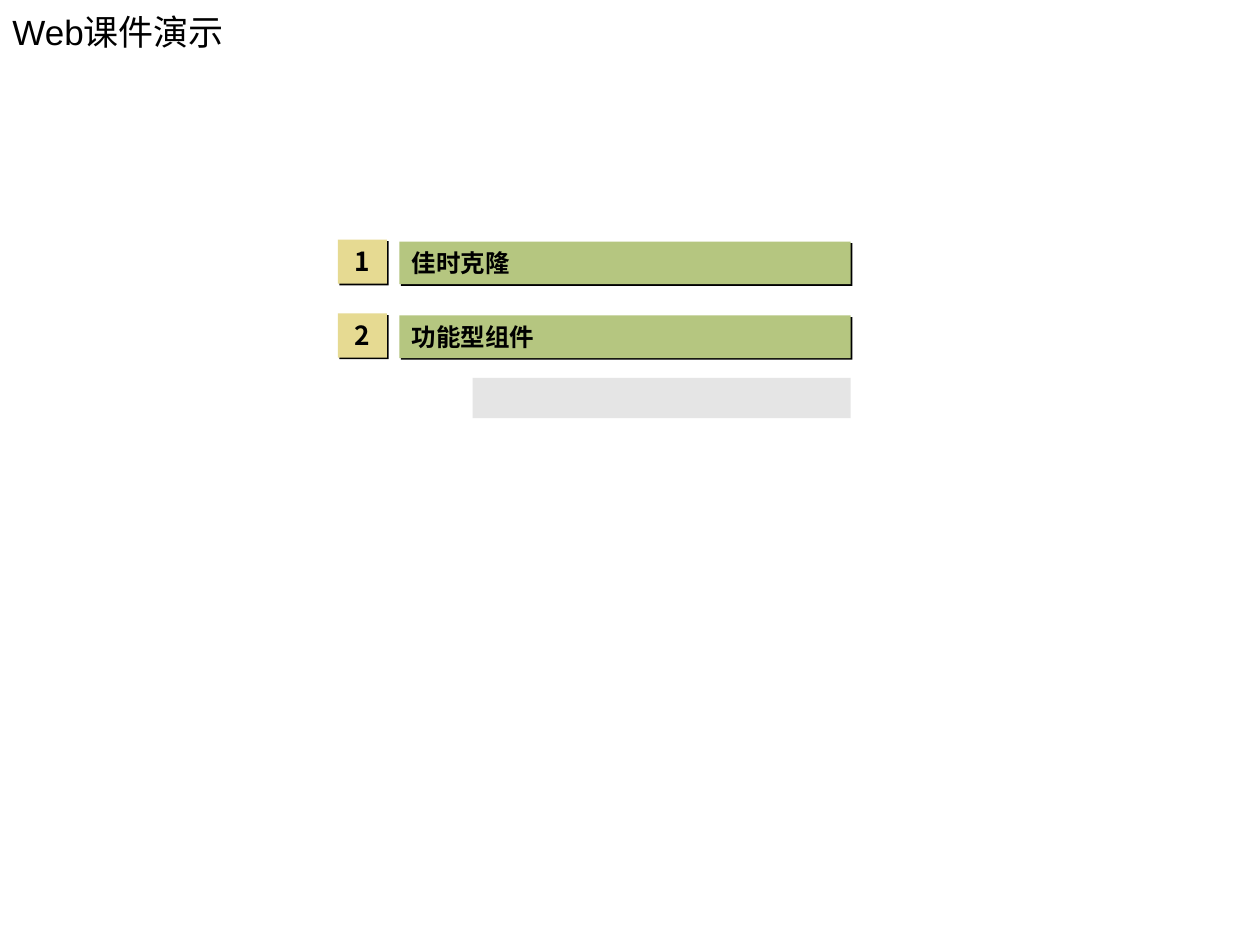
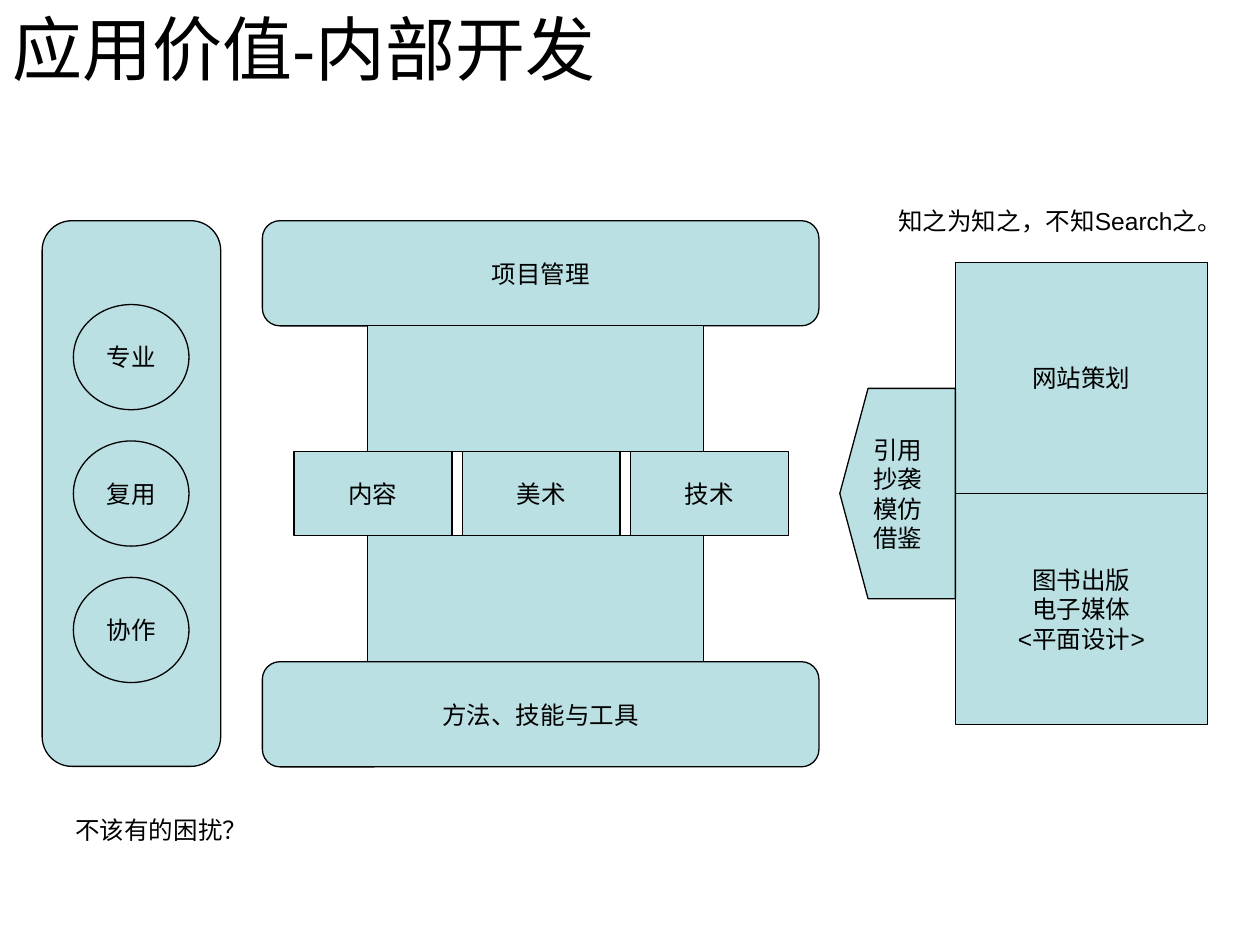
"""Build two courseware slides: an agenda and an in-house development diagram."""
from lxml import etree
from pptx import Presentation, util as u
from pptx.dml.color import RGBColor
from pptx.enum import lang, shapes, text
from pptx.oxml.ns import qn

BLACK = RGBColor(0x00, 0x00, 0x00)
SAND = RGBColor(0xE6, 0xDA, 0x92)
GREEN = RGBColor(0xB5, 0xC6, 0x80)
GREY = RGBColor(0xE5, 0xE5, 0xE5)
AQUA = RGBColor(0xBB, 0xE0, 0xE3)
CJK = "Noto Sans CJK SC"
SHAPE = shapes.MSO_SHAPE
LEFT, CENTER = text.PP_ALIGN.LEFT, text.PP_ALIGN.CENTER
TOP, MIDDLE = text.MSO_ANCHOR.TOP, text.MSO_ANCHOR.MIDDLE

BODY = {"size": u.Pt(14), "name": "Arial", "bold": False}
NUMBER = {"size": u.Pt(15), "name": "Noto Sans CJK KR", "bold": True}
ITEM = {"size": u.Pt(14), "name": CJK, "bold": True}

AGENDA_TITLE = ("Web课件演示", 20, 1.27)
AGENDA = ["佳时克隆", "功能型组件"]
AGENDA_PITCH = 1.49

VALUE_TITLE = ("应用价值-内部开发", 40, 1.9)
BANDS = [("项目管理", 4.45), ("方法、技能与工具", 13.34)]
DISCIPLINES = ["内容", "美术", "技术"]
PILLAR_TOPS = [6.56, 10.8]
PRINCIPLES = ["专业", "复用", "协作"]
SOURCES = ["网站策划", "图书出版\n电子媒体\n<平面设计>"]
BORROWING = "引用\n抄袭\n模仿\n借鉴"
ARROW = [(19.26, 7.83), (17.5, 7.83), (16.93, 9.95), (17.5, 12.07), (19.26, 12.07)]
NOTES = [("不该有的困扰？", (1.27, 16.3, 3.96, 0.86)),
         ("知之为知之，不知Search之。", (17.86, 4.02, 7.29, 0.86))]


def cm(values):
    return [u.Cm(v) for v in values]


def write(sp, content, fmt=BODY, align=CENTER, anchor=MIDDLE, wrap=False):
    tf = sp.text_frame
    tf.text = content
    tf.word_wrap, tf.vertical_anchor = wrap, anchor
    for p in tf.paragraphs:
        p.alignment = align
        for r in p.runs:
            for key, value in fmt.items():
                setattr(r.font, key, value)
            r.font.color.rgb = BLACK
            r.font.language_id = lang.MSO_LANGUAGE_ID.SIMPLIFIED_CHINESE
            latin = r.font._element.find(qn("a:latin"))
            ea = etree.Element(qn("a:ea"), typeface=CJK)
            latin.addnext(ea)


def paint(sp, fill, outlined=True):
    sp.shadow.inherit = False
    sp.fill.solid()
    sp.fill.fore_color.rgb = fill
    if outlined:
        sp.line.color.rgb = BLACK
        sp.line.width = u.Pt(0.75)
    else:
        sp.line.fill.background()


def add_box(s, kind, place, fill=AQUA, outlined=True):
    sp = s.shapes.add_shape(kind, *cm(place))
    paint(sp, fill, outlined)
    return sp


def add_label(s, kind, place, content):
    write(add_box(s, kind, place), content)


def add_shadow(sp):
    effects = sp._element.spPr.find(qn("a:effectLst"))
    shadow = etree.SubElement(effects, qn("a:outerShdw"), dist=str(u.Pt(1.4)),
                              dir="2700000", algn="ctr", rotWithShape="0")
    etree.SubElement(shadow, qn("a:srgbClr"), val=str(BLACK))


def add_slide(prs, title, size, height):
    s = prs.slides.add_slide(prs.slide_layouts[6])
    sp = s.shapes.add_textbox(*cm((0, 0, 22.86, height)))
    write(sp, title, {**BODY, "size": u.Pt(size)}, LEFT, wrap=True)
    return s


def build_agenda(prs):
    s = add_slide(prs, *AGENDA_TITLE)
    for i, item in enumerate(AGENDA):
        drop = i * AGENDA_PITCH
        parts = [(str(i + 1), (6.81, 4.83 + drop, 0.99, 0.89), SAND, NUMBER, CENTER),
                 (item, (8.05, 4.87 + drop, 9.1, 0.86), GREEN, ITEM, LEFT)]
        for content, place, fill, fmt, align in parts:
            sp = add_box(s, SHAPE.RECTANGLE, place, fill, False)
            add_shadow(sp)
            write(sp, content, fmt, align, TOP, True)
    add_box(s, SHAPE.RECTANGLE, (9.53, 7.62, 7.62, 0.81), GREY, False)


def build_value(prs):
    s = add_slide(prs, *VALUE_TITLE)
    add_box(s, SHAPE.FLOWCHART_ALTERNATE_PROCESS, (0.85, 4.45, 3.6, 11))
    for name, top in BANDS:
        add_label(s, SHAPE.FLOWCHART_ALTERNATE_PROCESS, (5.29, top, 11.22, 2.12), name)
    for i, name in enumerate(DISCIPLINES):
        add_label(s, SHAPE.FLOWCHART_PROCESS, (5.93 + i * 3.39, 9.1, 3.18, 1.69), name)
    for top in PILLAR_TOPS:
        add_box(s, SHAPE.RECTANGLE, (7.41, top, 6.77, 2.54))
    for i, name in enumerate(PRINCIPLES):
        add_label(s, SHAPE.FLOWCHART_CONNECTOR, (1.48, 6.14 + i * 2.75, 2.33, 2.12), name)
    for i, name in enumerate(SOURCES):
        add_label(s, SHAPE.RECTANGLE, (19.26, 5.29 + i * 4.66, 5.08, 4.66), name)
    start, *rest = [cm(point) for point in ARROW]
    outline = s.shapes.build_freeform(*start)
    outline.add_line_segments(rest, close=True)
    arrow = outline.convert_to_shape()
    paint(arrow, AQUA)
    write(arrow, BORROWING)
    for content, place in NOTES:
        sp = s.shapes.add_textbox(*cm(place))
        write(sp, content, align=LEFT, anchor=TOP)
        sp.text_frame.auto_size = text.MSO_AUTO_SIZE.SHAPE_TO_FIT_TEXT


def main():
    prs = Presentation()
    prs.slide_width, prs.slide_height = cm((25.4, 19.05))
    build_agenda(prs)
    build_value(prs)
    prs.save("out.pptx")


if __name__ == "__main__":
    main()
